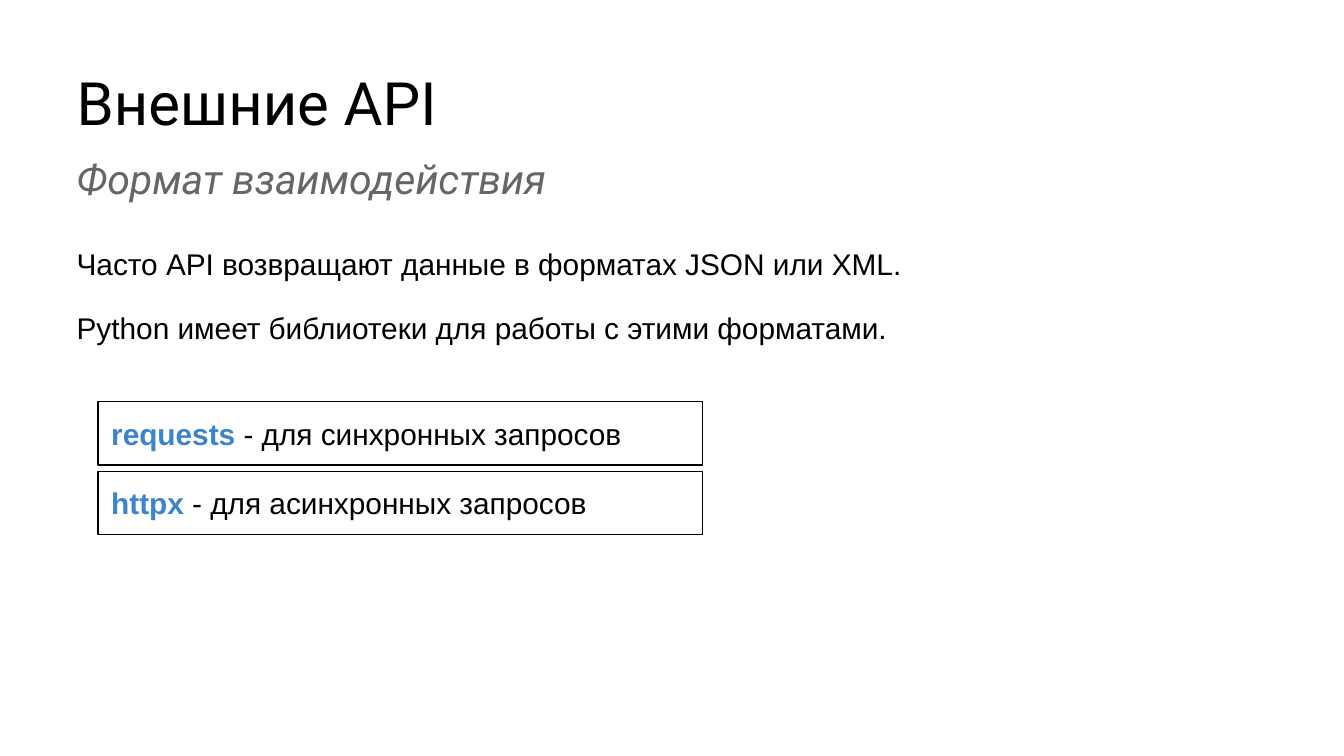
from dataclasses import dataclass

from pptx import Presentation
from pptx import util as u
from pptx.dml.color import RGBColor
from pptx.enum import shapes, text


@dataclass(frozen=True)
class Theme:
    black: str = "000000"
    grey: str = "666666"
    blue: str = "3D85C6"
    white: str = "FFFFFF"
    heading_font: str = "Roboto"
    body_font: str = "Arial"
    title_size: int = 32
    subtitle_size: int = 22
    body_size: int = 16
    inset: float = 7.2
    border: float = 0.75


class Deck:
    def __init__(self, theme, s):
        self.theme = theme
        self.s = s
        fill = s.background.fill
        fill.solid()
        fill.fore_color.rgb = RGBColor.from_string(theme.white)

    def frame(self, sp):
        tf = sp.text_frame
        tf.word_wrap = True
        tf.auto_size = text.MSO_AUTO_SIZE.NONE
        tf.vertical_anchor = text.MSO_ANCHOR.TOP
        inset = u.Pt(self.theme.inset)
        tf.margin_left = tf.margin_right = inset
        tf.margin_top = tf.margin_bottom = inset
        return tf

    def style(self, r, font, size, color, bold=False, italic=False):
        r.font.name = font
        r.font.size = u.Pt(size)
        r.font.color.rgb = RGBColor.from_string(color)
        r.font.bold = bold
        r.font.italic = italic

    def text_box(self, x, y, w, h):
        sp = self.s.shapes.add_textbox(u.Pt(x), u.Pt(y), u.Pt(w), u.Pt(h))
        return self.frame(sp)

    def heading(self, words, x, y, w, h, size, color, italic=False):
        tf = self.text_box(x, y, w, h)
        tf.text = words
        self.style(tf.paragraphs[0].runs[0], self.theme.heading_font, size, color, italic=italic)

    def body(self, lines, x, y, w, h):
        t = self.theme
        tf = self.text_box(x, y, w, h)
        tf.text = "\n".join(lines)
        for i, p in enumerate(tf.paragraphs):
            p.line_spacing = 1.15
            if i:
                p.space_before = p.space_after = u.Pt(12)
            self.style(p.runs[0], t.body_font, t.body_size, t.black)

    def library_box(self, name, purpose, x, y, w, h):
        t = self.theme
        sp = self.s.shapes.add_shape(
            shapes.MSO_SHAPE.RECTANGLE, u.Pt(x), u.Pt(y), u.Pt(w), u.Pt(h))
        sp.shadow.inherit = False
        sp.fill.background()
        sp.line.color.rgb = RGBColor.from_string(t.black)
        sp.line.width = u.Pt(t.border)
        tf = self.frame(sp)
        tf.text = name
        p = tf.paragraphs[0]
        p.alignment = text.PP_ALIGN.LEFT
        self.style(p.runs[0], t.body_font, t.body_size, t.blue, bold=True)
        r = p.add_run()
        r.text = f" - {purpose}"
        self.style(r, t.body_font, t.body_size, t.black)


def main():
    prs = Presentation()
    prs.slide_width, prs.slide_height = u.Pt(720), u.Pt(405)
    theme = Theme()
    deck = Deck(theme, prs.slides.add_slide(prs.slide_layouts[6]))

    left, heading_width = 34, 559.5
    deck.body(
        ["Часто API возвращают данные в форматах JSON или XML.",
         "Python имеет библиотеки для работы с этими форматами."],
        left, 121.7, 671, 68.4)
    deck.heading("Внешние API", left, 28.1, heading_width, 53.3,
                 theme.title_size, theme.black)
    deck.heading("Формат взаимодействия", left, 74.9, heading_width, 41,
                 theme.subtitle_size, theme.grey, italic=True)

    libraries = [("requests", "для синхронных запросов"),
                 ("httpx", "для асинхронных запросов")]
    top, pitch = 215.3, 37.4
    for i, (name, purpose) in enumerate(libraries):
        deck.library_box(name, purpose, 52.5, top + i * pitch, 324, 33.8)

    prs.save("out.pptx")


if __name__ == "__main__":
    main()
